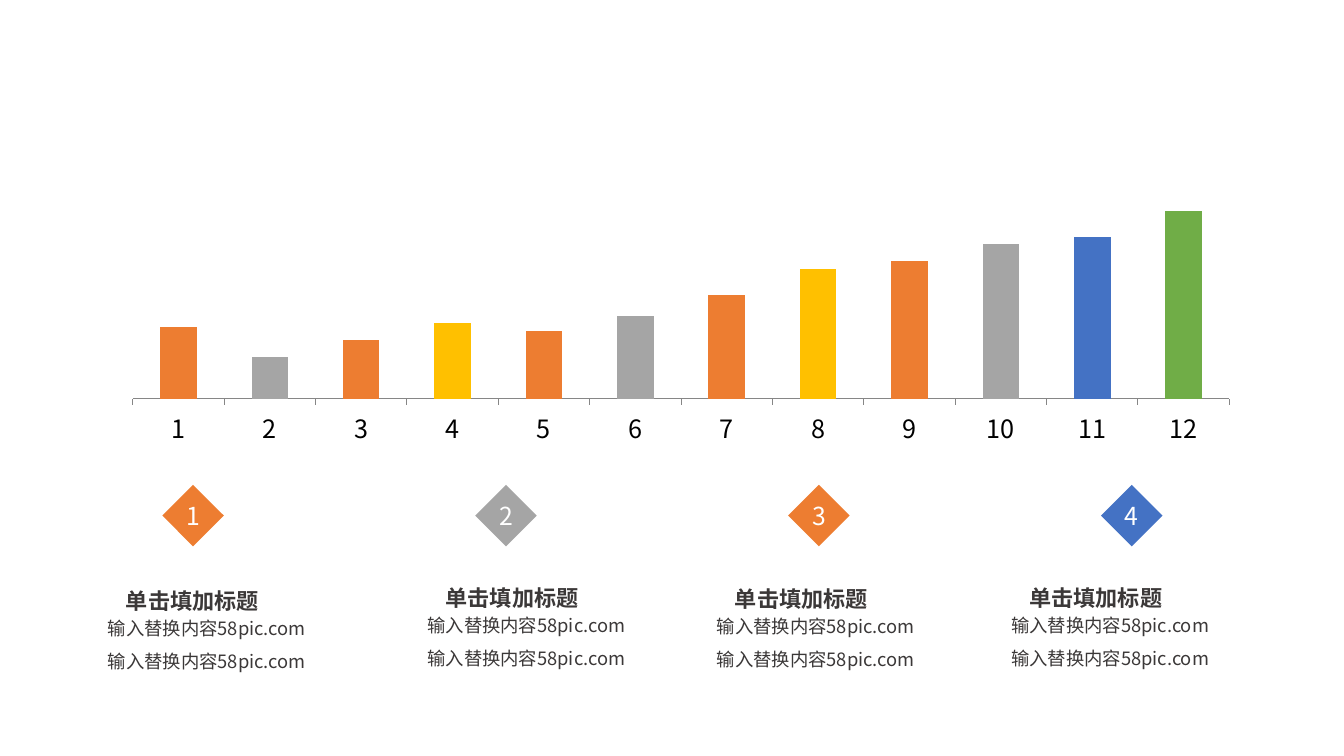
from lxml import etree
from pptx import Presentation
from pptx.chart.data import CategoryChartData
from pptx.dml.color import RGBColor
from pptx.enum.chart import XL_CHART_TYPE, XL_TICK_LABEL_POSITION, XL_TICK_MARK
from pptx.enum.shapes import MSO_SHAPE
from pptx.enum.text import MSO_ANCHOR, PP_ALIGN
from pptx.oxml import parse_xml
from pptx.oxml.ns import nsdecls, qn
from pptx.util import Inches, Pt

COLUMN = XL_CHART_TYPE.COLUMN_CLUSTERED
DIAMOND = MSO_SHAPE.DIAMOND
CENTER = PP_ALIGN.CENTER
MIDDLE = MSO_ANCHOR.MIDDLE
TICK_OUT = XL_TICK_MARK.OUTSIDE
LABELS_LOW = XL_TICK_LABEL_POSITION.LOW

FONT = "Noto Sans CJK SC"
ORANGE = RGBColor(0xED, 0x7D, 0x31)
GRAY = RGBColor(0xA5, 0xA5, 0xA5)
YELLOW = RGBColor(0xFF, 0xC0, 0x00)
BLUE = RGBColor(0x44, 0x72, 0xC4)
GREEN = RGBColor(0x70, 0xAD, 0x47)
AXIS_GRAY = RGBColor(0x86, 0x86, 0x86)
DARK = RGBColor(0x3B, 0x38, 0x38)
BLACK = RGBColor(0x00, 0x00, 0x00)
WHITE = RGBColor(0xFF, 0xFF, 0xFF)

VALUES = [38, 22, 31, 40, 36, 44, 55, 69, 73, 82, 86, 100]
BAR_COLORS = [ORANGE, GRAY, ORANGE, YELLOW, ORANGE, GRAY,
              ORANGE, YELLOW, ORANGE, GRAY, BLUE, GREEN]
TITLE = "单击填加标题"
BODY = ["输入替换内容58pic.com"] * 2
# Diamond colour, left and top of the body text
COLUMNS = [(ORANGE, 0.64, 6.07), (GRAY, 3.81, 6.04),
           (ORANGE, 6.68, 6.05), (BLUE, 9.6, 6.04)]
DIAMOND_LEFT, DIAMOND_TOP, DIAMOND_SIZE, DIAMOND_STEP = 1.61, 4.81, 0.61, 3.1033


def style_paragraph(para, size, color, bold=False, before=0):
    para.alignment = CENTER
    if before:
        para.space_before = Pt(before)
    font = para.font
    font.size, font.bold, font.name = Pt(size), bold, FONT
    font.color.rgb = color
    # East Asian characters take their own typeface
    defaults = para._p.pPr.find(qn("a:defRPr"))
    etree.SubElement(defaults, qn("a:ea")).set("typeface", FONT)


def clear_margins(frame):
    frame.margin_left = frame.margin_right = 0
    frame.margin_top = frame.margin_bottom = 0


def add_text(page, left, top, width, height, lines):
    box = page.shapes.add_textbox(Inches(left), Inches(top), Inches(width), Inches(height))
    frame = box.text_frame
    frame.word_wrap = True
    frame.text = "\n".join(lines)
    return frame


def add_title(page, left, top):
    frame = add_text(page, left, top, 1.8, 0.3, [TITLE])
    clear_margins(frame)
    para = frame.paragraphs[0]
    para.line_spacing = 1.2
    style_paragraph(para, 15.8, DARK, bold=True)


def add_body(page, left, top):
    frame = add_text(page, left, top, 2.82, 0.66, BODY)
    for index, para in enumerate(frame.paragraphs):
        style_paragraph(para, 13.1, DARK, before=7.9 if index else 0)


def add_diamond(page, number, color):
    left = DIAMOND_LEFT + (number - 1) * DIAMOND_STEP
    shape = page.shapes.add_shape(DIAMOND, Inches(left), Inches(DIAMOND_TOP),
                                  Inches(DIAMOND_SIZE), Inches(DIAMOND_SIZE))
    shape.shadow.inherit = False
    shape.fill.solid()
    shape.fill.fore_color.rgb = color
    shape.line.fill.background()
    frame = shape.text_frame
    clear_margins(frame)
    frame.word_wrap = False
    frame.vertical_anchor = MIDDLE
    frame.text = str(number)
    style_paragraph(frame.paragraphs[0], 17.7, WHITE)


def set_plot_layout(chart, x, y, w, h):
    plot_area = chart._chartSpace.chart.plotArea
    for old in plot_area.findall(qn("c:layout")):
        plot_area.remove(old)
    sizes = "".join(f'<c:{key} val="{value}"/>'
                    for key, value in zip("xywh", (x, y, w, h)))
    plot_area.insert(0, parse_xml(
        f'<c:layout {nsdecls("c")}><c:manualLayout><c:layoutTarget val="inner"/>'
        f'<c:xMode val="edge"/><c:yMode val="edge"/>{sizes}'
        '</c:manualLayout></c:layout>'))


def add_bar_chart(page):
    data = CategoryChartData()
    data.categories = [str(number) for number in range(1, len(VALUES) + 1)]
    data.add_series("Series 1", VALUES)
    chart = page.shapes.add_chart(COLUMN, Inches(1.09), Inches(1.91),
                                  Inches(11.33), Inches(2.56), data).chart
    chart.has_title = chart.has_legend = False
    chart.font.size, chart.font.name = Pt(18), FONT
    chart.font.color.rgb = BLACK
    set_plot_layout(chart, 0.02, 0.07, 0.96, 0.73)

    # Axes
    chart.value_axis.visible = False
    chart.value_axis.has_major_gridlines = False
    chart.value_axis.minimum_scale = 0
    chart.value_axis.maximum_scale = 100
    axis = chart.category_axis
    axis.major_tick_mark = TICK_OUT
    axis.tick_label_position = LABELS_LOW
    axis.format.line.color.rgb = AXIS_GRAY
    axis.format.line.width = Pt(0.75)

    # Bars
    plot = chart.plots[0]
    plot.gap_width = 150
    plot.vary_by_categories = False
    for index, color in enumerate(BAR_COLORS):
        fill = plot.series[0].points[index].format.fill
        fill.solid()
        fill.fore_color.rgb = color


def main():
    deck = Presentation()
    deck.slide_width, deck.slide_height = Inches(13.33), Inches(7.5)
    page = deck.slides.add_slide(deck.slide_layouts[6])
    add_bar_chart(page)
    for number, (color, left, top) in enumerate(COLUMNS, start=1):
        add_body(page, left, top)
        add_title(page, left + 0.37, top - 0.29)
        add_diamond(page, number, color)
    deck.save("out.pptx")


if __name__ == "__main__":
    main()
